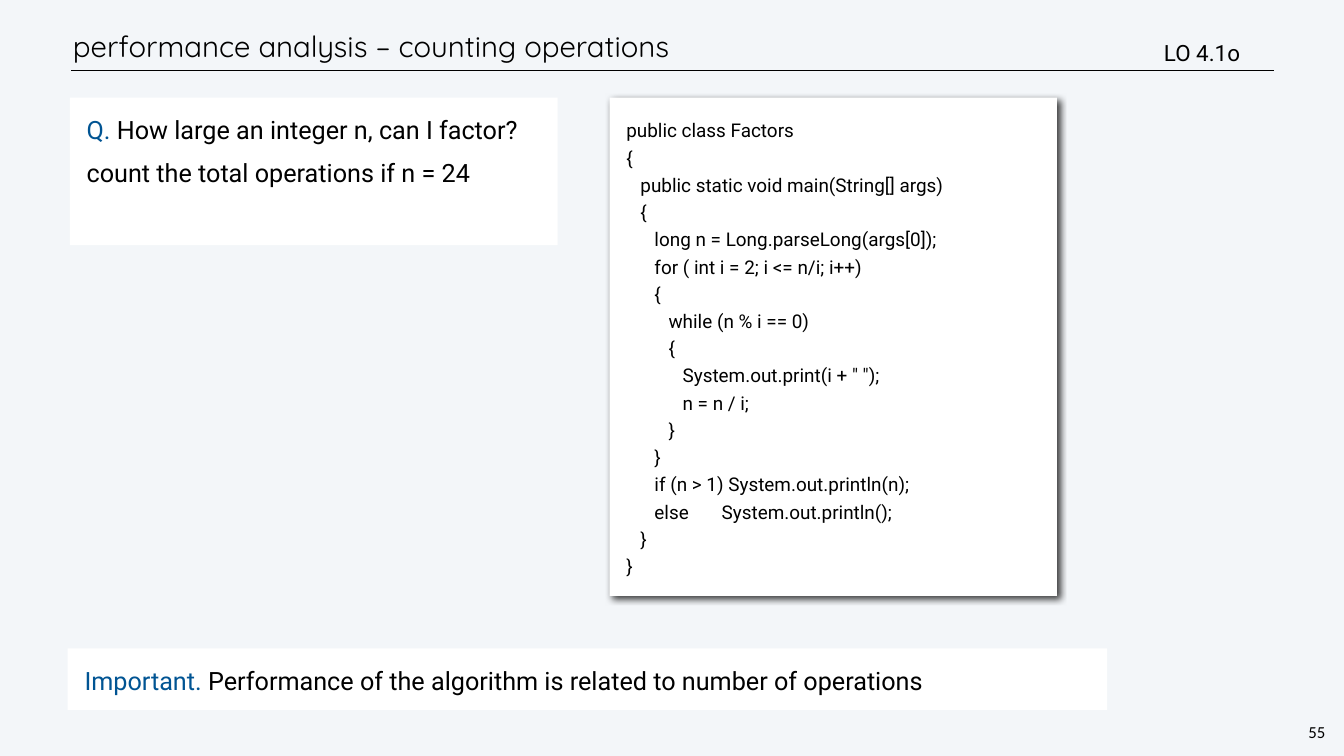
"""Build the slide on performance analysis by counting operations."""
from dataclasses import dataclass
from typing import Optional

import lxml.etree
import pptx
import pptx.dml.color
import pptx.enum.shapes
import pptx.enum.text
import pptx.oxml.ns
import pptx.util

PX = 9525
BLACK, WHITE, BLUE, BACKGROUND = "000000", "FFFFFF", "005493", "F3F6F9"
ALIGN = pptx.enum.text.PP_ALIGN
ANCHOR = pptx.enum.text.MSO_ANCHOR
CODE = """public class Factors
{
   public static void main(String[] args)
   {
      long n = Long.parseLong(args[0]);
      for ( int i = 2; i <= n/i; i++)
      {
         while (n % i == 0)
         {
            System.out.print(i + " ");
            n = n / i;
         }
      }
      if (n > 1) System.out.println(n);
      else       System.out.println();
   }
}"""


@dataclass(frozen=True)
class Box:
    """Position and size in px."""
    left: int
    top: int
    width: int
    height: int

    def emu(self) -> tuple[int, int, int, int]:
        """Return the four lengths in EMU."""
        return self.left * PX, self.top * PX, self.width * PX, self.height * PX


@dataclass(frozen=True)
class Panel:
    """White card with a coloured lead word and text lines."""
    box: Box
    text: str
    lead: str = ""
    size: int = 36
    spacing: object = pptx.util.Pt(43)
    before: int = 18
    shadow: bool = False


PANELS = (
    Panel(Box(1161, 186, 852, 949), CODE, size=27, spacing=1.2, before=0, shadow=True),
    Panel(Box(133, 186, 929, 281),
          "How large an integer n, can I factor?\ncount the total operations if n = 24", "Q. "),
    Panel(Box(129, 1235, 1980, 117),
          "Performance of the algorithm is related to number of operations", "Important. "),
)


def color(value: str) -> pptx.dml.color.RGBColor:
    """Turn a hex string into a colour."""
    return pptx.dml.color.RGBColor.from_string(value)


def write(shape, text: str, *, size: int, font: str = "Roboto", lead: str = "",
          inset: int = 6, anchor=ANCHOR.TOP, align=ALIGN.LEFT, wrap: bool = True,
          spacing: Optional[object] = None, before: int = 0) -> None:
    """Fill a shape with formatted lines, the first opening with a blue lead."""
    frame = shape.text_frame
    frame.word_wrap = wrap
    frame.auto_size = pptx.enum.text.MSO_AUTO_SIZE.NONE
    frame.vertical_anchor = anchor
    frame.margin_left = frame.margin_right = inset * PX
    frame.margin_top = frame.margin_bottom = inset * PX
    for index, line in enumerate(text.split("\n")):
        paragraph = frame.add_paragraph() if index else frame.paragraphs[0]
        paragraph.alignment = align
        paragraph.space_before = pptx.util.Pt(before if index else 0)
        if spacing is not None:
            paragraph.line_spacing = spacing
        parts = [(line, BLACK)]
        if lead and not index:
            parts.insert(0, (lead, BLUE))
        for words, tint in parts:
            run = paragraph.add_run()
            run.text = words
            run.font.name = font
            run.font.size = pptx.util.Pt(size)
            run.font.color.rgb = color(tint)


def add_shadow(shape) -> None:
    """Give a shape a soft shadow toward the lower right."""
    qn = pptx.oxml.ns.qn
    effects = shape.element.spPr.find(qn("a:effectLst"))
    shadow = lxml.etree.SubElement(
        effects, qn("a:outerShdw"), blurRad=str(pptx.util.Pt(10)),
        dist=str(pptx.util.Pt(6)), dir="2700000", rotWithShape="0")
    tint = lxml.etree.SubElement(shadow, qn("a:srgbClr"), val=BLACK)
    lxml.etree.SubElement(tint, qn("a:alpha"), val="75000")


def add_panel(slide, panel: Panel) -> None:
    """Draw one white card."""
    shape = slide.shapes.add_shape(
        pptx.enum.shapes.MSO_SHAPE.RECTANGLE, *panel.box.emu())
    shape.shadow.inherit = False
    shape.fill.solid()
    shape.fill.fore_color.rgb = color(WHITE)
    shape.line.fill.background()
    if panel.shadow:
        add_shadow(shape)
    write(shape, panel.text, size=panel.size, lead=panel.lead, inset=32,
          spacing=panel.spacing, before=panel.before)


def add_rule(slide, left: int, right: int, top: int) -> None:
    """Draw the thin line under the title."""
    rule = slide.shapes.add_connector(
        pptx.enum.shapes.MSO_CONNECTOR.STRAIGHT, left * PX, top * PX, right * PX, top * PX)
    rule.line.color.rgb = color(BLACK)
    rule.line.width = pptx.util.Pt(1)
    lxml.etree.SubElement(rule.element.spPr, pptx.oxml.ns.qn("a:effectLst"))


def main() -> None:
    """Build and save the presentation."""
    presentation = pptx.Presentation()
    presentation.slide_width, presentation.slide_height = 2560 * PX, 1440 * PX
    slide = presentation.slides.add_slide(presentation.slide_layouts[5])
    slide.background.fill.solid()
    slide.background.fill.fore_color.rgb = color(BACKGROUND)

    add_rule(slide, 136, 2426, 134)
    title = slide.shapes.title
    title.left, title.top, title.width, title.height = Box(133, 40, 2172, 95).emu()
    write(title, "performance analysis – counting operations", size=42, font="Quicksand",
          anchor=ANCHOR.MIDDLE, spacing=pptx.util.Pt(50))
    number = slide.shapes.add_textbox(*Box(2488, 1372, 41, 45).emu())
    write(number, "55", size=24, font="Calibri", inset=4, align=ALIGN.CENTER,
          wrap=False, spacing=pptx.util.Pt(28))
    for panel in PANELS:
        add_panel(slide, panel)
    objective = slide.shapes.add_textbox(*Box(2211, 69, 287, 62).emu())
    write(objective, "LO 4.1o", size=32, anchor=ANCHOR.MIDDLE)
    presentation.save("out.pptx")


if __name__ == "__main__":
    main()
